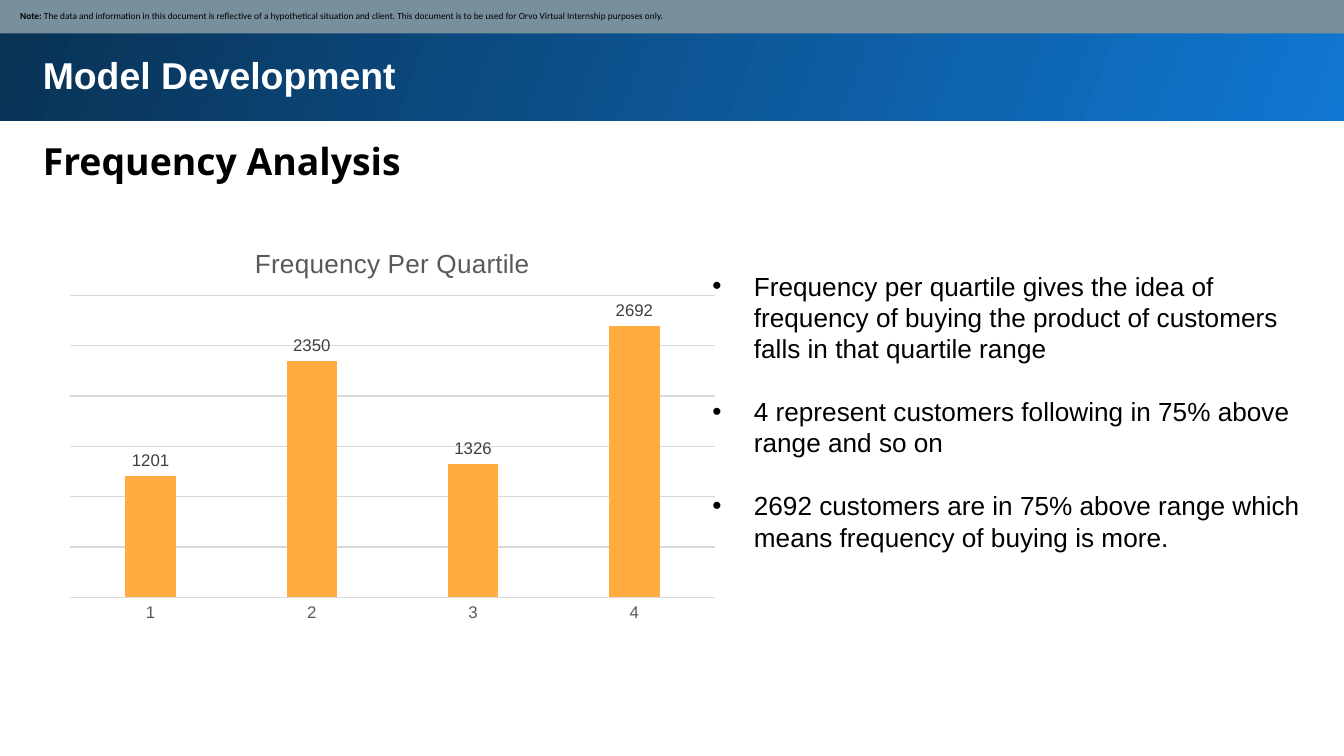
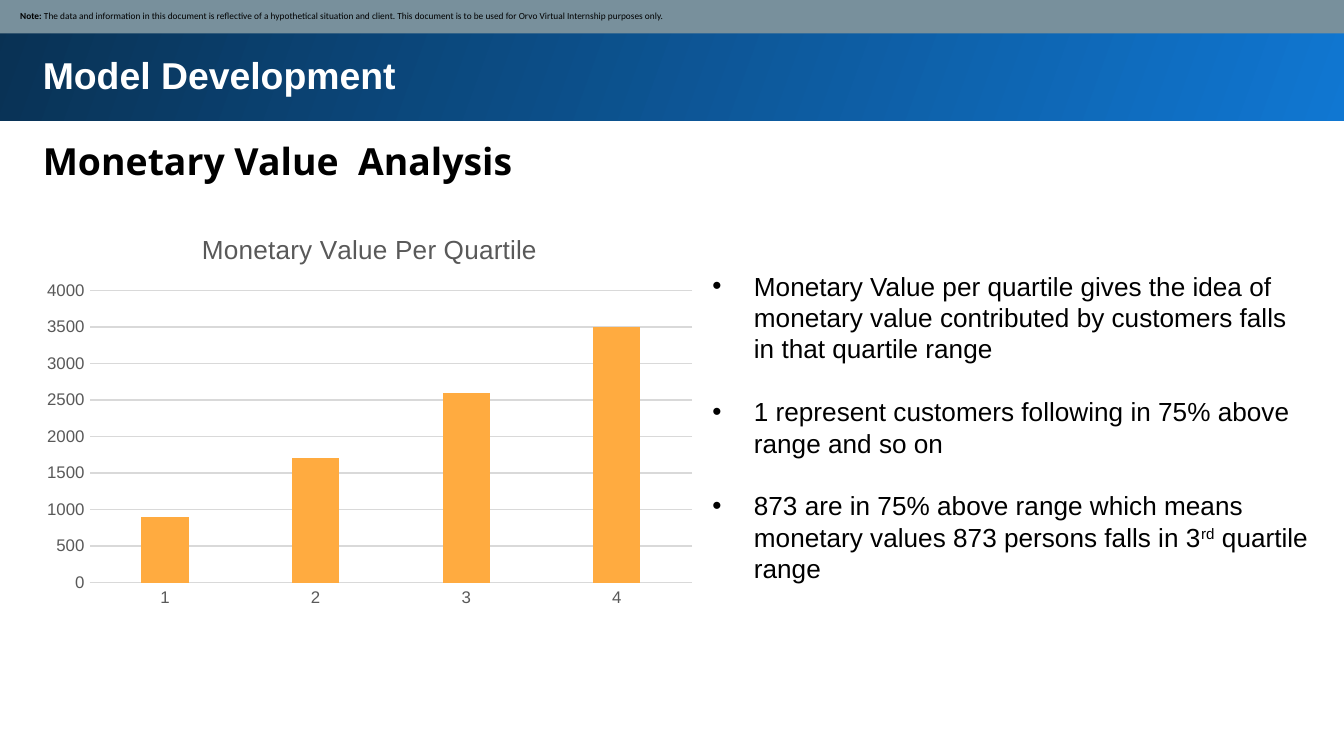
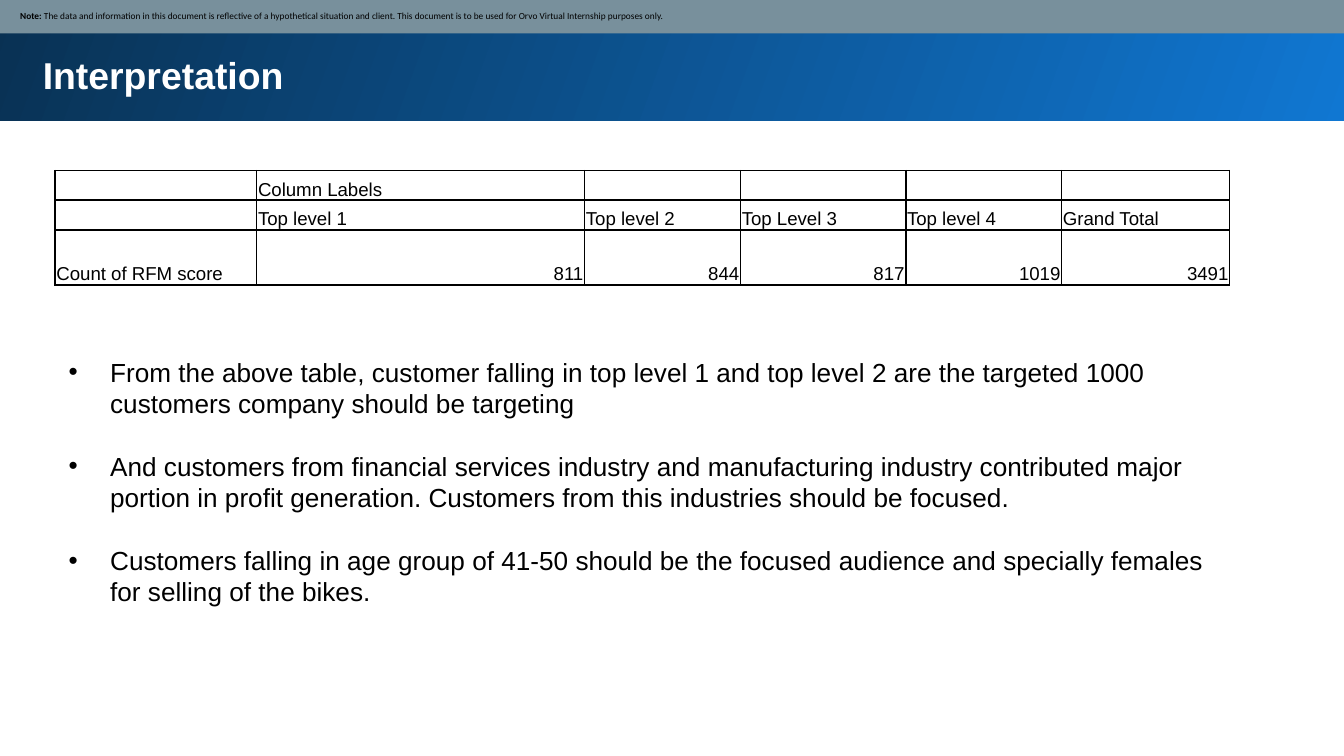
import dataclasses

import pptx
import pptx.chart.data
import pptx.dml.color
import pptx.enum.chart
import pptx.enum.shapes
import pptx.enum.text
import pptx.oxml
import pptx.oxml.ns
import pptx.util

Inches = pptx.util.Inches
Pt = pptx.util.Pt
Align = pptx.enum.text.PP_ALIGN
Anchor = pptx.enum.text.MSO_ANCHOR


def rgb(code):
    return pptx.dml.color.RGBColor.from_string(code)


@dataclasses.dataclass(frozen=True)
class Theme:
    # Colours
    band_light: str = "1077D2"
    band_dark: str = "093153"
    notice: str = "78909C"
    white: str = "FFFFFF"
    black: str = "000000"
    bar: str = "FFAB40"
    axis_text: str = "595959"
    label_text: str = "404040"
    grid: str = "D9D9D9"
    # Fonts
    body_font: str = "Arial"
    subtitle_font: str = "Open Sans"
    notice_font: str = "Calibri"
    # Type sizes and spacing in points
    title_size: float = 20
    body_size: float = 14
    bullet_gap: float = 16.8
    table_size: float = 10
    axis_size: float = 9
    notice_size: float = 5


THEME = Theme()


# Text

def style_font(font, size, color=THEME.black, name=THEME.body_font, bold=False):
    font.size = Pt(size)
    font.name = name
    font.bold = bold
    font.color.rgb = rgb(color)


def add_run(paragraph, text, size, **style):
    run = paragraph.add_run()
    run.text = text
    style_font(run.font, size, **style)
    return run


def set_insets(holder, left, top, right, bottom):
    holder.margin_left, holder.margin_top = Inches(left), Inches(top)
    holder.margin_right, holder.margin_bottom = Inches(right), Inches(bottom)


def add_text_frame(slide, box, inset):
    frame = slide.shapes.add_textbox(*map(Inches, box)).text_frame
    frame.word_wrap = True
    frame.auto_size = pptx.enum.text.MSO_AUTO_SIZE.SHAPE_TO_FIT_TEXT
    set_insets(frame, inset, inset, inset, inset)
    return frame


def add_heading(slide, text, top, height, line_spacing=None, **style):
    heading = add_text_frame(slide, (0.22, top, 9.37, height), 0.1).paragraphs[0]
    heading.line_spacing = line_spacing
    add_run(heading, text, THEME.title_size, bold=True, **style)


def add_bullets(slide, box, points):
    """Each point is a list of (text, is_superscript) pieces."""
    frame = add_text_frame(slide, box, 0.05)
    for index, pieces in enumerate(points):
        point = frame.paragraphs[0] if index == 0 else frame.add_paragraph()
        if index:
            point.space_before = Pt(THEME.bullet_gap)
        properties = point._p.get_or_add_pPr()
        properties.set("marL", str(Inches(0.31)))
        properties.set("indent", str(-Inches(0.31)))
        for tag, key, value in (("a:buFont", "typeface", THEME.body_font),
                                ("a:buChar", "char", "\u2022")):
            mark = pptx.oxml.ns.qn(tag)
            properties.append(properties.makeelement(mark, {key: value}))
        for text, is_superscript in pieces:
            run = add_run(point, text, THEME.body_size)
            if is_superscript:
                run.font._element.set("baseline", "30000")


# Shared frame of every slide

def add_band(slide, box):
    band = slide.shapes.add_shape(
        pptx.enum.shapes.MSO_SHAPE.RECTANGLE, *map(Inches, box))
    band.shadow.inherit = False
    band.line.fill.background()
    return band


def add_content_slide(deck, title, subtitle=None, title_height=0.54):
    slide = deck.slides.add_slide(deck.slide_layouts[6])

    title_band = add_band(slide, (-0.02, -0.02, 10.05, 0.92))
    title_band.fill.gradient()
    title_band.fill.gradient_angle = 160
    for stop, color in zip(title_band.fill.gradient_stops,
                           (THEME.band_light, THEME.band_dark)):
        stop.color.rgb = rgb(color)
    add_heading(slide, title, 0.29, title_height, color=THEME.white)
    if subtitle:
        add_heading(slide, subtitle, 0.88, 0.56, line_spacing=1.15,
                    name=THEME.subtitle_font)

    notice = add_band(slide, (-0.01, -0.01, 10.03, 0.26))
    notice.fill.solid()
    notice.fill.fore_color.rgb = rgb(THEME.notice)
    frame = notice.text_frame
    frame.word_wrap = True
    frame.vertical_anchor = Anchor.MIDDLE
    set_insets(frame, 0.16, 0.05, 0.05, 0.05)
    line = frame.paragraphs[0]
    line.alignment = Align.LEFT
    for text, bold in (
            ("Note: ", True),
            ("The data and information in this document is reflective of a "
             "hypothetical situation and client. This document is to be used "
             "for Orvo Virtual Internship purposes only.", False)):
        add_run(line, text, THEME.notice_size, name=THEME.notice_font, bold=bold)
    return slide


# Quartile chart

def add_quartile_chart(slide, left, top, title, values, top_value, labelled):
    """Bars carry value labels, or else the value axis is shown."""
    data = pptx.chart.data.CategoryChartData()
    data.categories = ["1", "2", "3", "4"]
    data.add_series("Series 1", values)
    chart = slide.shapes.add_chart(
        pptx.enum.chart.XL_CHART_TYPE.COLUMN_CLUSTERED,
        Inches(left), Inches(top), Inches(5), Inches(3), data).chart
    style_font(chart.font, THEME.table_size)
    chart.has_legend = False
    chart.has_title = True
    add_run(chart.chart_title.text_frame.paragraphs[0], title,
            THEME.body_size, color=THEME.axis_text)
    chart.chart_title.include_in_layout = False

    quartiles, amounts = chart.category_axis, chart.value_axis
    for axis in (quartiles, amounts):
        axis.major_tick_mark = pptx.enum.chart.XL_TICK_MARK.NONE
        style_font(axis.tick_labels.font, THEME.axis_size, THEME.axis_text)
    amounts.minimum_scale, amounts.maximum_scale = 0, top_value
    amounts.major_unit = 500
    amounts.format.line.fill.background()
    amounts.visible = not labelled
    for line in (quartiles.format.line, amounts.major_gridlines.format.line):
        line.color.rgb = rgb(THEME.grid)
        line.width = Pt(0.75)

    plot = chart.plots[0]
    plot.vary_by_categories = False
    plot.gap_width, plot.overlap = 219, -27
    bars = plot.series[0]
    bars.format.fill.solid()
    bars.format.fill.fore_color.rgb = rgb(THEME.bar)
    if labelled:
        labels = bars.data_labels
        labels.show_value = True
        labels.position = pptx.enum.chart.XL_LABEL_POSITION.OUTSIDE_END
        style_font(labels.font, THEME.axis_size, THEME.label_text)


# Score table

def add_cell_borders(cell):
    properties = cell._tc.get_or_add_tcPr()
    for side in "LRTB":
        properties.append(pptx.oxml.parse_xml(
            f'<a:ln{side} {pptx.oxml.ns.nsdecls("a")} w="{Pt(1)}"><a:solidFill>'
            f'<a:srgbClr val="{THEME.black}"/></a:solidFill></a:ln{side}>'))


def add_score_table(slide, left, top, widths, heights, rows):
    table = slide.shapes.add_table(
        len(rows), len(widths), Inches(left), Inches(top),
        Inches(sum(widths)), Inches(sum(heights))).table
    table.first_row = table.horz_banding = False
    for column, width in zip(table.columns, widths):
        column.width = Inches(width)
    for row, height, texts in zip(table.rows, heights, rows):
        row.height = Inches(height)
        for cell, text in zip(row.cells, texts):
            set_insets(cell, 0.01, 0.01, 0.01, 0)
            cell.vertical_anchor = Anchor.BOTTOM
            add_cell_borders(cell)
            cell.fill.background()
            entry = cell.text_frame.paragraphs[0]
            if text:
                entry.alignment = Align.RIGHT if text.isdigit() else Align.LEFT
                add_run(entry, text, THEME.table_size)
            else:
                # Keeps an empty cell from stretching its row
                entry._p.append(pptx.oxml.parse_xml(
                    f'<a:endParaRPr {pptx.oxml.ns.nsdecls("a")} '
                    f'sz="{THEME.table_size * 100}"/>'))


# Slides

def add_frequency_slide(deck):
    slide = add_content_slide(deck, "Model Development", "Frequency Analysis")
    add_bullets(slide, (5.25, 1.96, 4.54, 2.46), [
        [("Frequency per quartile gives the idea of frequency of buying the "
          "product of customers falls in that quartile range", False)],
        [("4 represent customers following in 75% above range and so on", False)],
        [("2692 customers are in 75% above range which means frequency of "
          "buying is more.", False)],
    ])
    add_quartile_chart(slide, 0.42, 1.69, "Frequency Per Quartile",
                       (1201, 2350, 1326, 2692), 3000, labelled=True)


def add_monetary_slide(deck):
    slide = add_content_slide(deck, "Model Development",
                              "Monetary Value  Analysis")
    add_bullets(slide, (5.25, 1.96, 4.54, 2.69), [
        [("Monetary Value per quartile gives the idea of monetary value "
          "contributed by customers falls in that quartile range", False)],
        [("1 represent customers following in 75% above range and so on", False)],
        [("873 are in 75% above range which means monetary values 873 persons "
          "falls in 3", False), ("rd", True), (" quartile range", False)],
    ])
    add_quartile_chart(slide, 0.25, 1.58, "Monetary Value Per Quartile",
                       (900, 1700, 2600, 3500), 4000, labelled=False)


def add_interpretation_slide(deck):
    slide = add_content_slide(deck, "Interpretation", title_height=0.83)
    add_score_table(
        slide, 0.41, 1.27,
        widths=(1.5, 2.44, 1.16, 1.23, 1.16, 1.25), heights=(0.22, 0.22, 0.41),
        rows=(
            ("", "Column Labels", "", "", "", ""),
            ("", "Top level 1", "Top level 2", "Top Level 3", "Top level 4",
             "Grand Total"),
            ("Count of RFM score", "811", "844", "817", "1019", "3491"),
        ))
    add_bullets(slide, (0.46, 2.6, 8.69, 2.46), [
        [("From the above table, customer falling in top level 1 and top level "
          "2 are the targeted 1000 customers company should be targeting", False)],
        [("And customers from financial services industry and manufacturing "
          "industry contributed major portion in profit generation. Customers "
          "from this industries should be focused.", False)],
        [("Customers falling in age group of 41-50 should be the focused "
          "audience and specially females for selling of the bikes.", False)],
    ])


def main():
    deck = pptx.Presentation()
    # Widescreen, 16 to 9
    deck.slide_width, deck.slide_height = Inches(10), Inches(10 * 9 / 16)
    add_frequency_slide(deck)
    add_monetary_slide(deck)
    add_interpretation_slide(deck)
    deck.save("out.pptx")


main()
